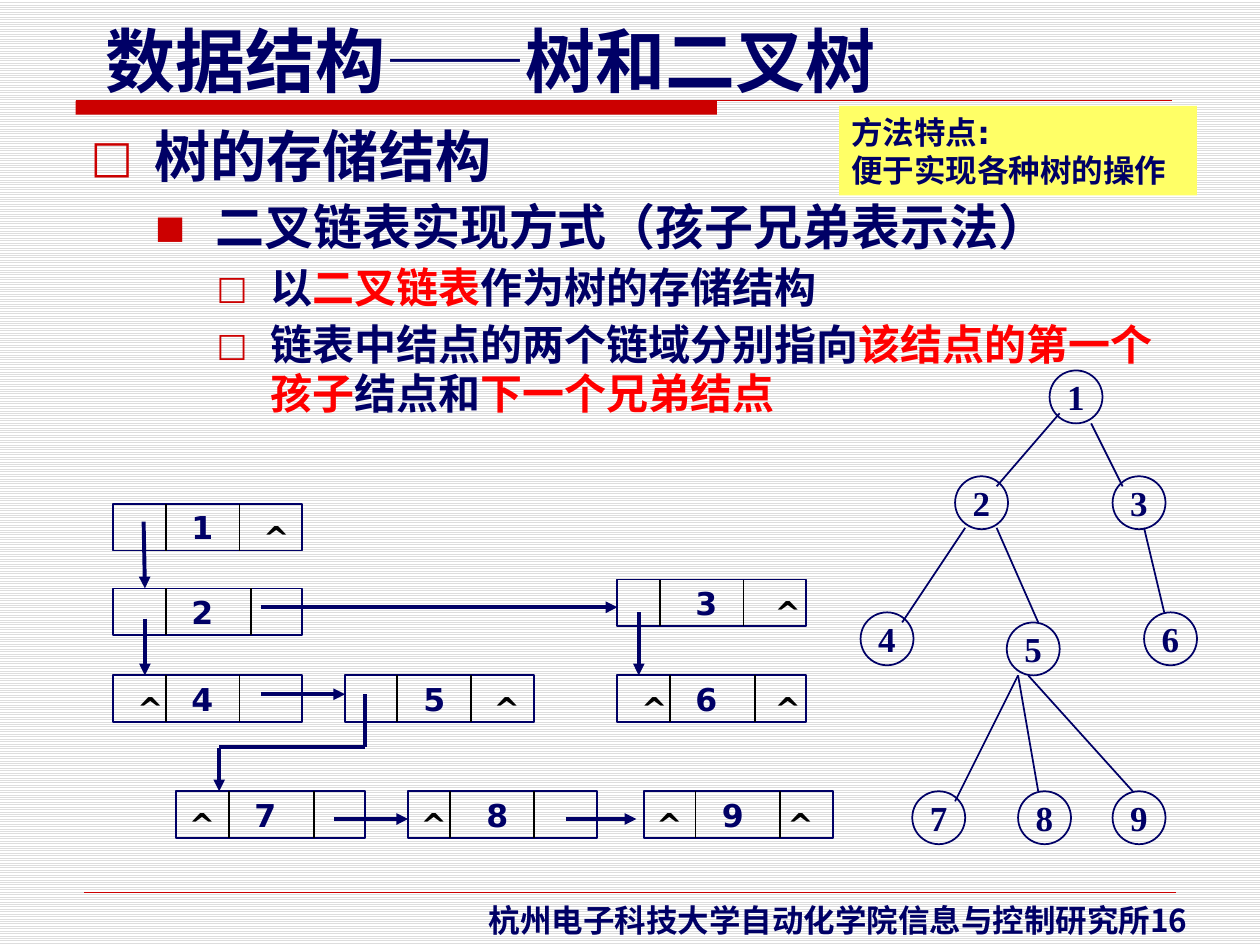
from lxml import etree
from pptx import Presentation
from pptx.dml.color import RGBColor
from pptx.enum.dml import MSO_PATTERN
from pptx.enum.shapes import MSO_CONNECTOR, MSO_SHAPE
from pptx.enum.text import MSO_ANCHOR, MSO_AUTO_SIZE, PP_ALIGN
from pptx.oxml.ns import qn
from pptx.util import Inches, Pt

NAVY = RGBColor(0x00, 0x00, 0x66)
DARK_RED = RGBColor(0xCC, 0x00, 0x00)
RED = RGBColor(0xFF, 0x00, 0x00)
YELLOW = RGBColor(0xFF, 0xFF, 0x66)
BLACK = RGBColor(0x00, 0x00, 0x00)
WHITE = RGBColor(0xFF, 0xFF, 0xFF)
GREY = RGBColor(0xDD, 0xDD, 0xDD)
LEFT, CENTER = PP_ALIGN.LEFT, PP_ALIGN.CENTER
MIDDLE, TOP = MSO_ANCHOR.MIDDLE, MSO_ANCHOR.TOP
NO_AUTOFIT = MSO_AUTO_SIZE.NONE
STRAIGHT = MSO_CONNECTOR.STRAIGHT
RECTANGLE, OVAL = MSO_SHAPE.RECTANGLE, MSO_SHAPE.OVAL
LIGHT_HORIZONTAL = MSO_PATTERN.LIGHT_HORIZONTAL
SANS, CJK, SERIF = "DejaVu Sans", "Noto Sans CJK SC", "Times New Roman"


def write(para, text, size=18, font=SANS, color=NAVY, align=LEFT, bold=True, east_asian=SANS):
    """Append one formatted run to a paragraph."""
    para.alignment = align
    span = para.add_run()
    span.text = text
    span.font.size = Pt(size)
    span.font.bold = bold
    span.font.name = font
    span.font.color.rgb = color
    typeface = etree.Element(qn("a:ea"), typeface=east_asian)
    span.font._element.find(qn("a:latin")).addnext(typeface)


def draw_line(x1, y1, x2, y2, color=NAVY, width=1, arrow=False):
    line = slide.shapes.add_connector(
        STRAIGHT, Inches(x1), Inches(y1), Inches(x2), Inches(y2))
    line.line.color.rgb = color
    line.line.width = Pt(width)
    if arrow:
        etree.SubElement(line.line._get_or_add_ln(), qn("a:tailEnd"), type="triangle")
    etree.SubElement(line._element.spPr, qn("a:effectLst"))


deck = Presentation()
deck.slide_width, deck.slide_height = Inches(10), Inches(7.5)
slide = deck.slides.add_slide(deck.slide_layouts[1])
background = slide.background.fill
background.patterned()
background.pattern = LIGHT_HORIZONTAL
background.fore_color.rgb = GREY
background.back_color.rgb = WHITE

# Title, rules and footer
bar = slide.shapes.add_shape(RECTANGLE, Inches(0.6), Inches(0.8), Inches(5.09), Inches(0.11))
bar.shadow.inherit = False
bar.fill.solid()
bar.fill.fore_color.rgb = DARK_RED
bar.line.fill.background()
draw_line(0.6, 0.8, 9.3, 0.8, DARK_RED, 0.75)
draw_line(0.67, 7.08, 9.33, 7.08, DARK_RED, 0.25)

title = slide.shapes.title
title.left, title.top, title.width, title.height = (
    Inches(0.74), Inches(0.09), Inches(6.33), Inches(0.77))
title.text_frame.auto_size = NO_AUTOFIT
title.text_frame.word_wrap = False
title.text_frame.vertical_anchor = MIDDLE
title_para = title.text_frame.paragraphs[0]
write(title_para, "数据结构", size=40)
write(title_para, "——", size=40, font="Arial", bold=False, east_asian=CJK)
write(title_para, "树和二叉树", size=40)

footer = slide.shapes.add_textbox(Inches(3.78), Inches(7.1), Inches(6.11), Inches(0.4))
footer.text_frame.word_wrap = False
footer.text_frame.vertical_anchor = MIDDLE
for text, font in (("杭州电子科技大学自动化学院信息与控制研究所", SERIF), ("16", CJK)):
    write(footer.text_frame.paragraphs[0], text, font=font)

# Outline: level, size, font, bullet, bullet size, indent, hanging, spans
outline = (
    (0, 32, CJK, "□", 80, 0.51, 0.51, (("树的存储结构", NAVY),)),
    (1, 28, SERIF, "■", 65, 0.99, 0.48, (("二叉链表实现方式（孩子兄弟表示法）", NAVY),)),
    (2, 24, CJK, "□", 78, 1.43, 0.43,
     (("以", NAVY), ("二叉链表", RED), ("作为树的存储结构", NAVY))),
    (2, 24, CJK, "□", 78, 1.43, 0.43,
     (("链表中结点的两个链域分别指向", NAVY), ("该结点的第一个孩子", RED),
      ("结点和", NAVY), ("下一个兄弟结点", RED))),
)
body = slide.placeholders[1]
body.left, body.top, body.width, body.height = (
    Inches(0.62), Inches(0.95), Inches(8.75), Inches(6.08))
frame = body.text_frame
frame.auto_size = NO_AUTOFIT
frame.word_wrap = True
frame.vertical_anchor = TOP
for index, (level, size, font, bullet, percent, indent, hanging, spans) in enumerate(outline):
    para = frame.add_paragraph() if index else frame.paragraphs[0]
    para.level = level
    properties = para._p.get_or_add_pPr()
    properties.set("marL", str(Inches(indent)))
    properties.set("indent", str(-Inches(hanging)))
    bullet_color = etree.SubElement(properties, qn("a:buClr"))
    etree.SubElement(bullet_color, qn("a:srgbClr"), val=str(DARK_RED))
    etree.SubElement(properties, qn("a:buSzPct"), val=str(percent * 1000))
    etree.SubElement(properties, qn("a:buFont"), typeface=SANS)
    etree.SubElement(properties, qn("a:buChar"), char=bullet)
    para.line_spacing = 0.96
    para.space_before = Pt(0.2 * size if index else 0)
    for text, color in spans:
        write(para, text, size=size, font=font, color=color)

# Tree
tree_nodes = (
    (8.33, 2.94), (7.58, 3.78), (8.83, 3.78), (6.83, 4.86), (7.99, 4.94),
    (9.08, 4.86), (7.24, 6.28), (8.08, 6.28), (8.83, 6.28),
)
for number, (left, top) in enumerate(tree_nodes, start=1):
    circle = slide.shapes.add_shape(OVAL, Inches(left), Inches(top), Inches(0.42), Inches(0.42))
    circle.shadow.inherit = False
    circle.fill.background()
    circle.line.color.rgb = NAVY
    circle.line.width = Pt(1)
    circle.text_frame.word_wrap = False
    circle.text_frame.vertical_anchor = MIDDLE
    write(circle.text_frame.paragraphs[0], str(number), size=20, font=SERIF, align=CENTER)

tree_edges = (
    (8.41, 3.28, 7.91, 3.86), (8.66, 3.36, 8.91, 3.86), (7.66, 4.19, 7.16, 4.94),
    (7.91, 4.19, 8.24, 4.94), (9.08, 4.19, 9.24, 4.86), (8.08, 5.36, 7.58, 6.36),
    (8.08, 5.36, 8.24, 6.28), (8.16, 5.36, 8.99, 6.28),
)
for edge in tree_edges:
    draw_line(*edge)

# Linked list: left, top, divider offsets, null mark offsets
list_nodes = (
    (0.9, 4, (0.42, 1), (1.09,)),
    (0.9, 4.67, (0.42, 1.09), ()),
    (4.9, 4.6, (0.34, 1), (1.15,)),
    (0.9, 5.36, (0.42, 1), (0.09,)),
    (2.74, 5.36, (0.41, 1), (1.08,)),
    (4.9, 5.36, (0.42, 1.09), (0.09, 1.15)),
    (1.4, 6.28, (0.42, 1.09), (0,)),
    (3.24, 6.28, (0.33, 1), (0,)),
    (5.11, 6.28, (0.41, 1.08), (0, 1.04)),
)
for number, (left, top, dividers, nulls) in enumerate(list_nodes, start=1):
    cell = slide.shapes.add_shape(RECTANGLE, Inches(left), Inches(top), Inches(1.5), Inches(0.37))
    cell.shadow.inherit = False
    cell.fill.background()
    cell.line.color.rgb = NAVY
    cell.line.width = Pt(1)
    cell.text_frame.margin_left = Inches(0.62)
    cell.text_frame.word_wrap = True
    cell.text_frame.vertical_anchor = MIDDLE
    write(cell.text_frame.paragraphs[0], str(number))
    for offset in dividers:
        draw_line(left + offset, top, left + offset, top + 0.37, BLACK)
    for offset in nulls:
        null_mark = slide.shapes.add_textbox(
            Inches(left + offset), Inches(top + 0.06), Inches(0.42), Inches(0.4))
        null_mark.text_frame.word_wrap = False
        write(null_mark.text_frame.paragraphs[0], "^", color=BLACK)

pointers = (
    (1.14, 4.14, 1.15, 4.67), (2.07, 4.82, 4.9, 4.82), (5.07, 4.86, 5.07, 5.36),
    (1.15, 4.91, 1.15, 5.36), (2.07, 5.51, 2.74, 5.51), (2.65, 6.5, 3.24, 6.5),
    (4.49, 6.5, 5.05, 6.5), (1.74, 5.94, 1.74, 6.28),
)
for pointer in pointers:
    draw_line(*pointer, width=2.25, arrow=True)
draw_line(2.9, 5.51, 2.9, 5.93, width=2.25)
draw_line(1.74, 5.93, 2.9, 5.93, width=2.25)

# Callout
callout = slide.shapes.add_shape(RECTANGLE, Inches(6.66), Inches(0.84), Inches(2.84), Inches(0.71))
callout.shadow.inherit = False
callout.fill.solid()
callout.fill.fore_color.rgb = YELLOW
callout.line.fill.background()
callout.text_frame.word_wrap = True
callout.text_frame.vertical_anchor = MIDDLE
write(callout.text_frame.paragraphs[0], "方法特点:")
write(callout.text_frame.add_paragraph(), "便于实现各种树的操作")

deck.save("out.pptx")
